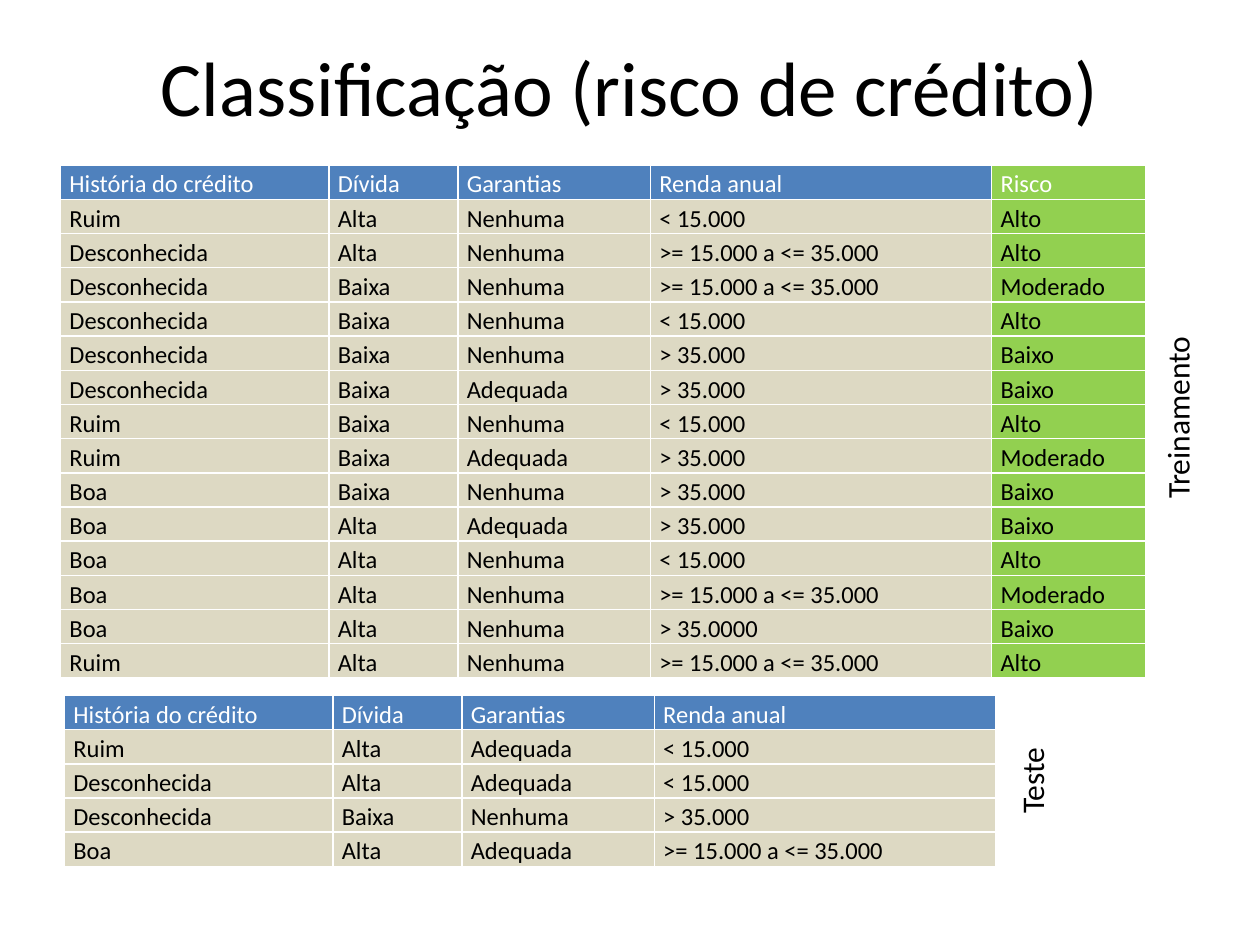
"""Build a slide with training and test tables for credit risk classification."""
from lxml.etree import SubElement
from pptx import Presentation
from pptx.dml.color import RGBColor
from pptx.enum.text import MSO_ANCHOR as Anchor, MSO_AUTO_SIZE as AutoSize, PP_ALIGN as Align
from pptx.oxml.ns import qn
from pptx.util import Cm, Pt

BLACK = RGBColor(0x00, 0x00, 0x00)
WHITE = RGBColor(0xFF, 0xFF, 0xFF)
BLUE = RGBColor(0x4F, 0x81, 0xBD)
BEIGE = RGBColor(0xDD, 0xD9, 0xC3)
GREEN = RGBColor(0x92, 0xD0, 0x50)

FONT = "Calibri"
TITLE = "Classificação (risco de crédito)"
HEADERS = ("História do crédito", "Dívida", "Garantias", "Renda anual", "Risco")
LOW, MIDDLE, HIGH = "< 15.000", ">= 15.000 a <= 35.000", "> 35.000"
TRAINING = [
    HEADERS,
    ("Ruim", "Alta", "Nenhuma", LOW, "Alto"),
    ("Desconhecida", "Alta", "Nenhuma", MIDDLE, "Alto"),
    ("Desconhecida", "Baixa", "Nenhuma", MIDDLE, "Moderado"),
    ("Desconhecida", "Baixa", "Nenhuma", LOW, "Alto"),
    ("Desconhecida", "Baixa", "Nenhuma", HIGH, "Baixo"),
    ("Desconhecida", "Baixa", "Adequada", HIGH, "Baixo"),
    ("Ruim", "Baixa", "Nenhuma", LOW, "Alto"),
    ("Ruim", "Baixa", "Adequada", HIGH, "Moderado"),
    ("Boa", "Baixa", "Nenhuma", HIGH, "Baixo"),
    ("Boa", "Alta", "Adequada", HIGH, "Baixo"),
    ("Boa", "Alta", "Nenhuma", LOW, "Alto"),
    ("Boa", "Alta", "Nenhuma", MIDDLE, "Moderado"),
    ("Boa", "Alta", "Nenhuma", "> 35.0000", "Baixo"),
    ("Ruim", "Alta", "Nenhuma", MIDDLE, "Alto"),
]
TEST = [
    HEADERS[:4],
    ("Ruim", "Alta", "Adequada", LOW),
    ("Desconhecida", "Alta", "Adequada", LOW),
    ("Desconhecida", "Baixa", "Nenhuma", HIGH),
    ("Boa", "Alta", "Adequada", MIDDLE),
]
TABLES = [(TRAINING, 1.22, 3.33), (TEST, 1.3, 14.02)]
LABELS = [("Treinamento", 23.22, 6.12, 4.19), ("Teste", 20.29, 14.73, 1.93)]
COLUMN_WIDTHS = (5.41, 2.6, 3.88, 6.88, 3.1)
ROW_HEIGHT = 0.69
LABEL_WIDTH = 1.27


def write_text(frame, text, size=18, color=BLACK, align=Align.LEFT, line_spacing=None):
    paragraph = frame.paragraphs[0]
    paragraph.alignment = align
    paragraph.line_spacing = line_spacing
    run = paragraph.add_run()
    run.text = text
    run.font.name = FONT
    run.font.size = Pt(size)
    run.font.bold = False
    run.font.color.rgb = color


def add_borders(cell):
    properties = cell._tc.get_or_add_tcPr()
    for side in ("a:lnL", "a:lnR", "a:lnT", "a:lnB"):
        line = SubElement(properties, qn(side), w=str(Pt(1)))
        fill = SubElement(line, qn("a:solidFill"))
        SubElement(fill, qn("a:srgbClr"), val=str(WHITE))


def format_cell(cell, text, is_header, is_risk):
    cell.margin_left = cell.margin_right = Cm(0.18)
    cell.margin_top = cell.margin_bottom = 0
    add_borders(cell)
    cell.fill.solid()
    cell.fill.fore_color.rgb = GREEN if is_risk else BLUE if is_header else BEIGE
    write_text(cell.text_frame, text, size=14, color=WHITE if is_header else BLACK,
               line_spacing=1.15)


def add_data_table(slide, rows, left, top):
    widths = COLUMN_WIDTHS[:len(rows[0])]
    table = slide.shapes.add_table(len(rows), len(widths), Cm(left), Cm(top),
                                   Cm(sum(widths)), Cm(ROW_HEIGHT * len(rows))).table
    for column, width in zip(table.columns, widths):
        column.width = Cm(width)
    for row_index, values in enumerate(rows):
        table.rows[row_index].height = Cm(ROW_HEIGHT)
        for column_index, value in enumerate(values):
            format_cell(table.cell(row_index, column_index), value,
                        row_index == 0, HEADERS[column_index] == "Risco")


def add_title(slide):
    frame = slide.shapes.add_textbox(Cm(1.27), Cm(0.13), Cm(22.86), Cm(3.18)).text_frame
    frame.word_wrap = True
    frame.vertical_anchor = Anchor.MIDDLE
    write_text(frame, TITLE, size=44, align=Align.CENTER)


def add_vertical_label(slide, text, left, top, height):
    shape = slide.shapes.add_textbox(Cm(left), Cm(top), Cm(LABEL_WIDTH), Cm(height))
    frame = shape.text_frame
    frame.word_wrap = False
    frame.auto_size = AutoSize.SHAPE_TO_FIT_TEXT
    shape.element.txBody.bodyPr.set("vert", "vert270")
    write_text(frame, text)


def main():
    presentation = Presentation()
    presentation.slide_width, presentation.slide_height = Cm(25.4), Cm(19.05)
    slide = presentation.slides.add_slide(presentation.slide_layouts[6])
    add_title(slide)
    for rows, left, top in TABLES:
        add_data_table(slide, rows, left, top)
    for text, left, top, height in LABELS:
        add_vertical_label(slide, text, left, top, height)
    presentation.save("out.pptx")


if __name__ == "__main__":
    main()
